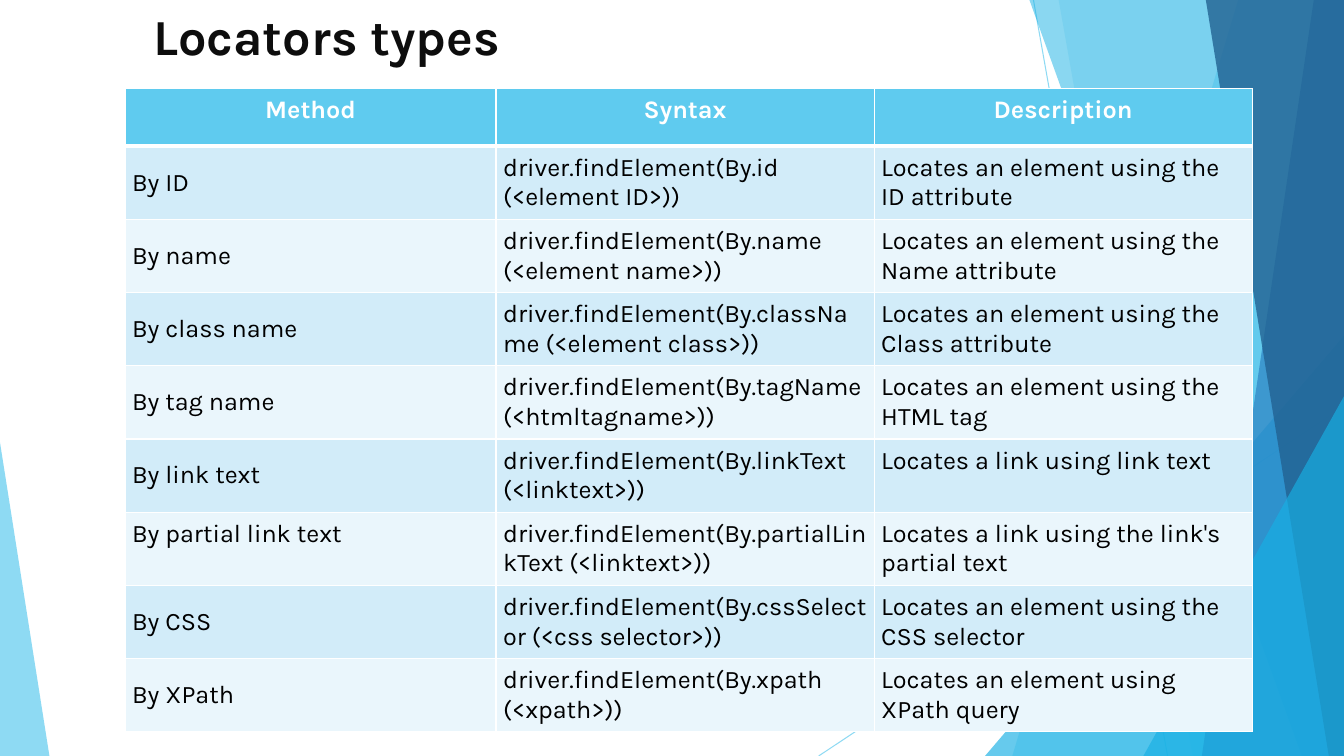
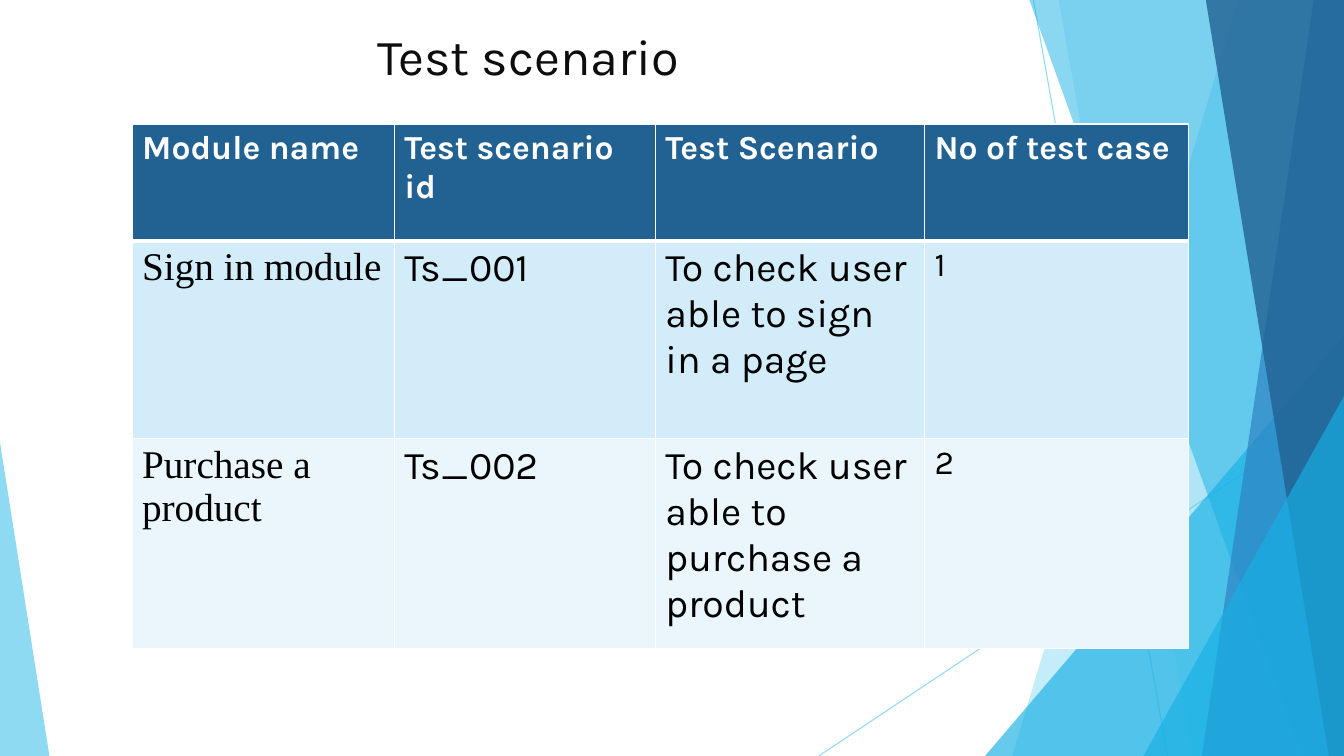
from lxml import etree
from pptx import Presentation
from pptx.dml.color import RGBColor
from pptx.enum.shapes import MSO_CONNECTOR, MSO_SHAPE
from pptx.enum.text import MSO_ANCHOR, MSO_AUTO_SIZE, PP_ALIGN
from pptx.oxml.ns import qn
from pptx.util import Inches, Pt

STRAIGHT = MSO_CONNECTOR.STRAIGHT
TRIANGLE = MSO_SHAPE.ISOSCELES_TRIANGLE
TOP, MIDDLE = MSO_ANCHOR.TOP, MSO_ANCHOR.MIDDLE
LEFT, CENTER = PP_ALIGN.LEFT, PP_ALIGN.CENTER
NO_AUTOFIT = MSO_AUTO_SIZE.NONE

WIDTH, HEIGHT = 13.33, 7.5
SKY, CYAN, BLUE, NAVY = "5FCBEF", "17B0E4", "2E83C3", "226292"
WHITE, BLACK, INK = "FFFFFF", "000000", "0D0D0D"
BANDS = ("D2ECF9", "EAF6FC")
SANS, SERIF = "Karla", "Times New Roman"

RAYS = [((10.25, 0), (11.58, HEIGHT)), ((WIDTH, 4.03), (8.12, HEIGHT))]
FACETS = [
    ("wedge", (12.28, 10.04), SKY, 36),
    ("wedge", (10.5, 11.83), SKY, 20),
    ("triangle", (9.77, 3.33, 3.56, 1), CYAN, 66),
    ("wedge", (10.21, 12.91), CYAN, 50),
    ("wedge", (13.03, 11.92), BLUE, 70),
    ("wedge", (11.96, 13.18), NAVY, 80),
    ("triangle", (11.34, 3.93, 1.99, 1), CYAN, 66),
    ("triangle", (0, 4.39, 0.49, 0), SKY, 70),
]

LOCATORS = {
    "title": "Locators types",
    "title_box": (0.89, 0, 11.52, 1.18),
    "title_indent": 0.63,
    "title_bold": True,
    "origin": (1.24, 0.88),
    "columns": [3.68, 3.75, 3.75],
    "row_heights": [0.57] + [0.72] * 8,
    "margins": (0.07, 0.07),
    "header": (NAVY, 18, CENTER),
    "styles": [(SANS, 18)] * 3,
    "middle_column": 0,
    "top_labels": {"By partial link text"},
    "rows": [
        ("Method", "Syntax", "Description"),
        ("By ID", "driver.findElement(By.id (<element ID>))",
         "Locates an element using the ID attribute"),
        ("By name", "driver.findElement(By.name (<element name>))",
         "Locates an element using the Name attribute"),
        ("By class name", "driver.findElement(By.className (<element class>))",
         "Locates an element using the Class attribute"),
        ("By tag name", "driver.findElement(By.tagName (<htmltagname>))",
         "Locates an element using the HTML tag"),
        ("By link text", "driver.findElement(By.linkText (<linktext>))",
         "Locates a link using link text"),
        ("By partial link text", "driver.findElement(By.partialLinkText (<linktext>))",
         "Locates a link using the link's partial text"),
        ("By CSS", "driver.findElement(By.cssSelector (<css selector>))",
         "Locates an element using the CSS selector"),
        ("By XPath", "driver.findElement(By.xpath (<xpath>))",
         "Locates an element using XPath query"),
    ],
}
LOCATORS["header"] = (SKY, 18, CENTER)

SCENARIOS = {
    "title": "Test scenario",
    "title_box": (0.92, 0.2, 11.5, 0.91),
    "title_indent": 2.82,
    "title_bold": False,
    "origin": (1.31, 1.23),
    "columns": [2.6, 2.59, 2.67, 2.62],
    "row_heights": [1.16, 1.96, 2.08],
    "margins": (0.1, 0.05),
    "header": (NAVY, 24, LEFT),
    "styles": [(SERIF, 28), (SANS, 28), (SANS, 28), (SANS, 24)],
    "middle_column": None,
    "top_labels": set(),
    "rows": [
        ("Module name", "Test scenario id", "Test Scenario", "No of test case"),
        ("Sign in module", "Ts_001", "To check user able to sign in a page", "1"),
        ("Purchase a product", "Ts_002", "To check user able to purchase a product", "2"),
    ],
}


def rgb(value):
    return RGBColor.from_string(value)


def inches(*values):
    return [Inches(value) for value in values]


def set_opacity(shape, percent):
    for color in shape.element.iter(qn("a:srgbClr")):
        etree.SubElement(color, qn("a:alpha")).set("val", str(percent * 1000))


def draw_ray(shapes, start, end):
    ray = shapes.add_connector(STRAIGHT, *inches(*start, *end))
    ray.line.color.rgb = rgb(SKY)
    ray.line.width = Pt(0.75)
    etree.SubElement(ray.element.spPr, qn("a:effectLst"))
    set_opacity(ray, 70)
    return ray


def draw_facet(shapes, kind, geometry, color, opacity):
    if kind == "wedge":
        top_x, bottom_x = geometry
        outline = shapes.build_freeform(*inches(top_x, 0))
        corners = [(WIDTH, 0), (WIDTH, HEIGHT), (bottom_x, HEIGHT)]
        outline.add_line_segments([inches(*corner) for corner in corners], close=True)
        facet = outline.convert_to_shape()
    else:
        left, top, width, apex = geometry
        facet = shapes.add_shape(TRIANGLE, *inches(left, top, width, HEIGHT - top))
        facet.adjustments[0] = apex
    facet.shadow.inherit = False
    facet.fill.solid()
    facet.fill.fore_color.rgb = rgb(color)
    facet.line.fill.background()
    set_opacity(facet, opacity)
    return facet


def decorate_layout(layout, page):
    parts = [draw_ray(page.shapes, *ray) for ray in RAYS]
    parts += [draw_facet(page.shapes, *facet) for facet in FACETS]
    tree = layout.shapes.element
    for position, part in enumerate(parts, start=2):
        tree.insert(position, part.element)


def set_font(paragraph, name, size, color, bold):
    font = paragraph.font
    font.name, font.size, font.bold = name, Pt(size), bold
    font.color.rgb = rgb(color)


def write_title(page, content):
    title = page.shapes.title
    title.left, title.top, title.width, title.height = inches(*content["title_box"])
    frame = title.text_frame
    frame.text = content["title"]
    frame.word_wrap = True
    frame.auto_size = NO_AUTOFIT
    frame.vertical_anchor = TOP
    frame.margin_left = Inches(content["title_indent"])
    paragraph = frame.paragraphs[0]
    paragraph.alignment = LEFT
    set_font(paragraph, SANS, 36, INK, content["title_bold"])


def set_borders(cell, top, bottom):
    properties = cell._tc.get_or_add_tcPr()
    for position, (side, points) in enumerate(
            [("lnL", 1), ("lnR", 1), ("lnT", top), ("lnB", bottom)]):
        border = etree.Element(qn(f"a:{side}"), w=str(Pt(points)))
        fill = etree.SubElement(border, qn("a:solidFill"))
        etree.SubElement(fill, qn("a:srgbClr")).set("val", WHITE)
        properties.insert(position, border)


def fill_cell(cell, text, row, column, content):
    header_fill, header_size, header_alignment = content["header"]
    is_header = row == 0
    cell.text = text
    cell.fill.solid()
    cell.fill.fore_color.rgb = rgb(header_fill if is_header else BANDS[(row - 1) % 2])
    side, edge = inches(*content["margins"])
    cell.margin_left = cell.margin_right = side
    cell.margin_top = cell.margin_bottom = edge
    centred = (not is_header and column == content["middle_column"]
               and text not in content["top_labels"])
    cell.vertical_anchor = MIDDLE if centred else TOP
    paragraph = cell.text_frame.paragraphs[0]
    if is_header:
        paragraph.alignment = header_alignment
        set_font(paragraph, SANS, header_size, WHITE, True)
    else:
        paragraph.alignment = LEFT
        set_font(paragraph, *content["styles"][column], BLACK, False)
    set_borders(cell, 3 if row == 1 else 1, 3 if is_header else 1)


def add_grid(page, content):
    rows, columns, heights = content["rows"], content["columns"], content["row_heights"]
    table = page.shapes.add_table(
        len(rows), len(columns),
        *inches(*content["origin"], sum(columns), sum(heights))).table
    for column, width in zip(table.columns, columns):
        column.width = Inches(width)
    for row, height in zip(table.rows, heights):
        row.height = Inches(height)
    for row, texts in enumerate(rows):
        for column, text in enumerate(texts):
            fill_cell(table.cell(row, column), text, row, column, content)


def main():
    deck = Presentation()
    deck.slide_width, deck.slide_height = inches(WIDTH, HEIGHT)
    layout = deck.slide_layouts.get_by_name("Title Only")
    for number, content in enumerate([LOCATORS, SCENARIOS]):
        page = deck.slides.add_slide(layout)
        if number == 0:
            decorate_layout(layout, page)
        write_title(page, content)
        add_grid(page, content)
    deck.save("out.pptx")


if __name__ == "__main__":
    main()
